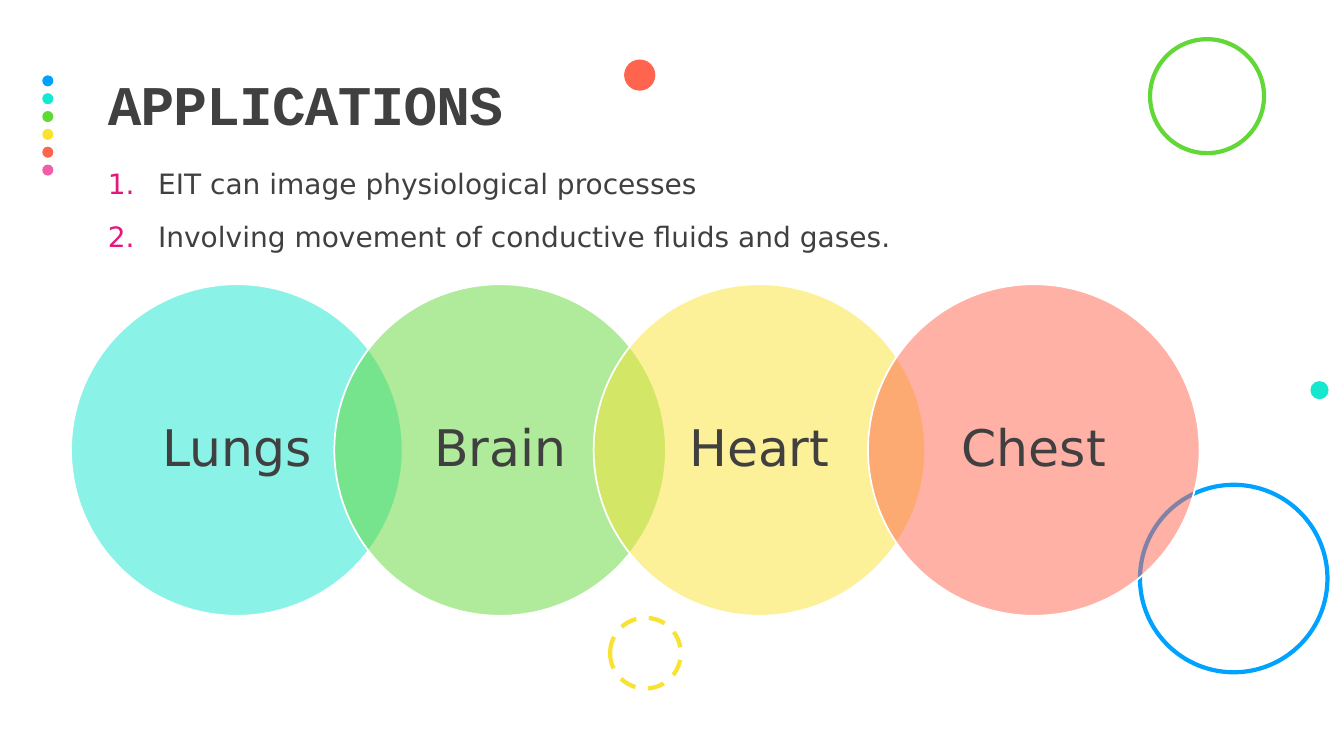
from lxml import etree
from pptx import Presentation
from pptx.dml.color import RGBColor
from pptx.enum.dml import MSO_LINE
from pptx.enum.shapes import MSO_SHAPE
from pptx.enum.text import MSO_ANCHOR, MSO_AUTO_SIZE, PP_ALIGN
from pptx.oxml.ns import qn
from pptx.util import Pt

OVAL = MSO_SHAPE.OVAL
DASH = MSO_LINE.DASH
MIDDLE, TOP = MSO_ANCHOR.MIDDLE, MSO_ANCHOR.TOP
NO_FIT = MSO_AUTO_SIZE.NONE
LEFT, CENTER = PP_ALIGN.LEFT, PP_ALIGN.CENTER

BLUE = RGBColor(0x00, 0xA2, 0xFF)
TEAL = RGBColor(0x16, 0xE7, 0xCF)
GREEN = RGBColor(0x61, 0xD8, 0x36)
YELLOW = RGBColor(0xFA, 0xE2, 0x32)
CORAL = RGBColor(0xFF, 0x64, 0x4E)
PINK = RGBColor(0xEF, 0x5F, 0xA7)
MAGENTA = RGBColor(0xE4, 0x17, 0x7D)
GREY = RGBColor(0x40, 0x40, 0x40)
WHITE = RGBColor(0xFF, 0xFF, 0xFF)

TITLE_FONT = {"name": "Courier New", "size": Pt(40), "bold": True}
LIST_FONT = {"name": "DejaVu Sans", "size": Pt(20)}
LABEL_FONT = {"name": "DejaVu Sans", "size": Pt(36)}

RINGS = [(821.5, 28, 81.4, GREEN, None),
         (814.3, 346.3, 133.9, BLUE, None),
         (435.8, 441.3, 50.5, YELLOW, DASH)]
DOTS = [(445.8, 42.5, 22.3, CORAL), (936, 272.2, 13, TEAL)]
DOT_COLUMN = [BLUE, TEAL, GREEN, YELLOW, CORAL, PINK]
ORGANS = [("Lungs", 50.7, TEAL), ("Brain", 238.8, GREEN),
          ("Heart", 424, YELLOW), ("Chest", 620, CORAL)]
POINTS = ["EIT can image physiological processes",
          "Involving movement of conductive fluids and gases."]


def set_all(target, values):
    """Set every attribute in a dict of format values."""
    for name, value in values.items():
        setattr(target, name, value)


def place(s, x, y, w, h):
    """Move and size a shape, in points."""
    set_all(s, {"left": Pt(x), "top": Pt(y), "width": Pt(w), "height": Pt(h)})


def format_frame(tf, anchor, side=0):
    """Set wrapping, anchor and insets of a text frame."""
    set_all(tf, {"word_wrap": True, "auto_size": NO_FIT, "vertical_anchor": anchor,
                 "margin_left": Pt(side), "margin_right": Pt(side),
                 "margin_top": Pt(3.6), "margin_bottom": Pt(3.6)})


def add_text(p, text, font, spacing):
    """Write one formatted run and return it."""
    set_all(p, spacing)
    r = p.add_run()
    r.text = text
    set_all(r.font, font)
    r.font.color.rgb = GREY
    return r


def add_circle(slide, x, y, size, fill=None, line=None, width=0):
    """Add a circle with an optional fill and outline."""
    s = slide.shapes.add_shape(OVAL, Pt(x), Pt(y), Pt(size), Pt(size))
    s.shadow.inherit = False
    if fill is None:
        s.fill.background()
    else:
        s.fill.solid()
        s.fill.fore_color.rgb = fill
    if line is None:
        s.line.fill.background()
    else:
        s.line.color.rgb = line
        s.line.width = Pt(width)
    return s


def add_organ(slide, label, x, color):
    """Add a half-transparent labelled circle."""
    s = add_circle(slide, x, 203, 236.9, color, WHITE, 1.25)
    rgb = s.fill._xPr.find(qn("a:solidFill")).find(qn("a:srgbClr"))
    etree.SubElement(rgb, qn("a:alpha"), val="50000")
    format_frame(s.text_frame, MIDDLE, 13)
    add_text(s.text_frame.paragraphs[0], label, LABEL_FONT,
             {"alignment": CENTER, "line_spacing": 0.9})


def number(p):
    """Give a paragraph a coloured automatic number and hanging indent."""
    pPr = p._p.get_or_add_pPr()
    pPr.set("marL", str(Pt(36)))
    pPr.set("indent", str(-Pt(36)))
    color = etree.SubElement(pPr, qn("a:buClr"))
    etree.SubElement(color, qn("a:srgbClr"), val=str(MAGENTA))
    etree.SubElement(pPr, qn("a:buFont"), typeface="+mj-lt")
    etree.SubElement(pPr, qn("a:buAutoNum"), type="arabicPeriod")


def fill_title(s):
    """Write the slide title."""
    place(s, 77, 23, 326, 108)
    format_frame(s.text_frame, MIDDLE)
    r = add_text(s.text_frame.paragraphs[0], "APPLICATIONS", TITLE_FONT,
                 {"alignment": LEFT, "line_spacing": 0.9})
    r.font._element.set("spc", "-50")


def fill_list(s):
    """Write the numbered list."""
    place(s, 77, 115.2, 822, 87)
    tf = s.text_frame
    format_frame(tf, TOP)
    for i, text in enumerate(POINTS):
        p = tf.add_paragraph() if i else tf.paragraphs[0]
        add_text(p, text, LIST_FONT, {"alignment": LEFT, "space_before": Pt(12),
                                      "space_after": Pt(2)})
        number(p)


def main():
    """Build and save the slide."""
    prs = Presentation()
    set_all(prs, {"slide_width": Pt(960), "slide_height": Pt(540)})
    slide = prs.slides.add_slide(prs.slide_layouts[1])
    for x, y, size, color, dash in RINGS:
        ring = add_circle(slide, x, y, size, line=color, width=3)
        if dash:
            ring.line.dash_style = dash
    for x, y, size, color in DOTS:
        add_circle(slide, x, y, size, color)
    for i, color in enumerate(DOT_COLUMN):
        add_circle(slide, 30.2, 53.8 + 12.75 * i, 7.9, color)
    fill_title(slide.shapes.title)
    fill_list(slide.placeholders[1])
    for organ in ORGANS:
        add_organ(slide, *organ)
    prs.save("out.pptx")


if __name__ == "__main__":
    main()
